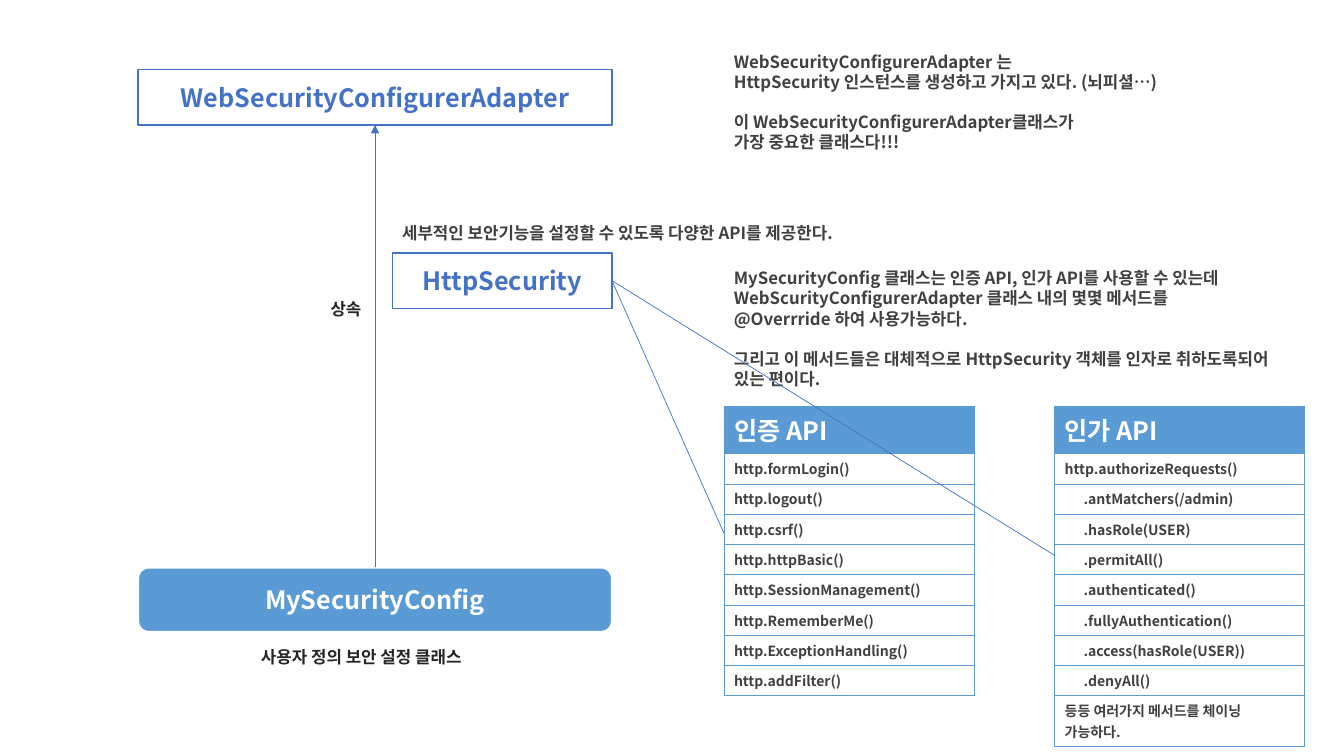
from dataclasses import dataclass

from lxml.etree import SubElement
from pptx import Presentation
from pptx.dml.color import RGBColor
from pptx.enum.shapes import MSO_CONNECTOR as Connector, MSO_SHAPE as Preset
from pptx.enum.text import MSO_ANCHOR as Anchor, MSO_AUTO_SIZE as AutoSize, PP_ALIGN as Align
from pptx.oxml.ns import qn
from pptx.util import Inches, Pt


@dataclass(frozen=True)
class Theme:
    font: str = "Noto Sans CJK KR"
    blue: str = "4472C4"
    sky: str = "5B9BD5"
    white: str = "FFFFFF"
    body: str = "404040"
    dark: str = "262626"
    heading_size: float = 18
    note_size: float = 12
    method_size: float = 10
    note_leading: float = 14.4
    thin: float = 0.5


THEME = Theme()


@dataclass(frozen=True)
class ClassBox:
    name: str
    left: float
    top: float
    width: float
    height: float
    preset: int = Preset.RECTANGLE
    fill: str = THEME.white
    color: str = THEME.blue
    border: float = 1


@dataclass(frozen=True)
class Note:
    left: float
    top: float
    width: float
    height: float
    groups: tuple  # groups of lines, set apart by one line of space
    color: str = THEME.body
    wrap: bool = True


@dataclass(frozen=True)
class ApiTable:
    left: float
    heading: str
    methods: tuple
    remark: str = ""


# Content
ADAPTER = ClassBox("WebSecurityConfigurerAdapter", 1.37, 0.69, 4.7, 0.55)
CONFIG = ClassBox("MySecurityConfig", 1.37, 5.63, 4.7, 0.64, Preset.ROUNDED_RECTANGLE,
                  THEME.sky, THEME.white, 1.5)
HTTP = ClassBox("HttpSecurity", 3.89, 2.51, 2.18, 0.55)

TABLE_TOP, TABLE_WIDTH = 4.03, 2.48
HEADING_ROW, METHOD_ROW, REMARK_ROW = 0.47, 0.3, 0.5
AUTHENTICATION = ApiTable(7.18, "인증 API", (
    "http.formLogin()", "http.logout()", "http.csrf()", "http.httpBasic()",
    "http.SessionManagement()", "http.RememberMe()", "http.ExceptionHandling()",
    "http.addFilter()"))
AUTHORIZATION = ApiTable(10.46, "인가 API", (
    "http.authorizeRequests()", "      .antMatchers(/admin)", "      .hasRole(USER)",
    "      .permitAll()", "      .authenticated()", "      .fullyAuthentication()",
    "      .access(hasRole(USER))", "      .denyAll()"),
    "등등 여러가지 메서드를 체이닝 가능하다.")

EXPLANATIONS = (
    Note(7.18, 0.46, 4.75, 1.11, (
        ("WebSecurityConfigurerAdapter 는",
         "HttpSecurity 인스턴스를 생성하고 가지고 있다. (뇌피셜…)"),
        ("이 WebSecurityConfigurerAdapter클래스가", "가장 중요한 클래스다!!!"))),
    Note(7.18, 2.61, 5.69, 1.31, (
        ("MySecurityConfig 클래스는 인증 API, 인가 API를 사용할 수 있는데",
         "WebScurityConfigurerAdapter 클래스 내의 몇몇 메서드를",
         "@Overrride 하여 사용가능하다."),
        ("그리고 이 메서드들은 대체적으로 HttpSecurity 객체를 인자로 취하도록되어 있는 편이다.",))),
)
CAPTIONS = (
    Note(3.89, 2.16, 5.24, 0.3, (("세부적인 보안기능을 설정할 수 있도록 다양한 API를 제공한다.",),)),
    Note(2.49, 6.37, 2.46, 0.3, (("사용자 정의 보안 설정 클래스",),), THEME.dark),
    Note(3.18, 2.91, 0.54, 0.3, (("상속",),), THEME.dark, False),
)


def rgb(color: str) -> RGBColor:
    return RGBColor.from_string(color)


def apply(target, values: dict) -> None:
    for name, value in values.items():
        setattr(target, name, value)


def write(para, text: str, size: float, color: str) -> None:
    span = para.add_run()
    span.text = text
    apply(span.font, {"name": THEME.font, "size": Pt(size), "bold": True})
    span.font.color.rgb = rgb(color)
    SubElement(span.font._element, qn("a:ea"), typeface=THEME.font)


def draw_class(page, item: ClassBox):
    box = page.shapes.add_shape(item.preset, Inches(item.left), Inches(item.top),
                                Inches(item.width), Inches(item.height))
    box.shadow.inherit = False
    box.fill.solid()
    box.fill.fore_color.rgb = rgb(item.fill)
    box.line.color.rgb = rgb(item.color)
    box.line.width = Pt(item.border)
    box.text_frame.vertical_anchor = Anchor.MIDDLE
    para = box.text_frame.paragraphs[0]
    para.alignment = Align.CENTER
    write(para, item.name, THEME.heading_size, item.color)
    return box


def draw_note(page, note: Note) -> None:
    box = page.shapes.add_textbox(Inches(note.left), Inches(note.top),
                                  Inches(note.width), Inches(note.height))
    frame = box.text_frame
    apply(frame, {"word_wrap": note.wrap, "auto_size": AutoSize.SHAPE_TO_FIT_TEXT})
    for group_index, group in enumerate(note.groups):
        for line_index, text in enumerate(group):
            first = group_index == line_index == 0
            para = frame.paragraphs[0] if first else frame.add_paragraph()
            para.line_spacing = Pt(THEME.note_leading)
            if group_index and line_index == 0:
                para.space_before = Pt(THEME.note_leading)
            write(para, text, THEME.note_size, note.color)


def border_cell(cell) -> None:
    properties = cell._tc.get_or_add_tcPr()
    for position, side in enumerate(("a:lnL", "a:lnR", "a:lnT", "a:lnB")):
        edge = SubElement(properties, qn(side), w=str(Pt(THEME.thin)))
        SubElement(SubElement(edge, qn("a:solidFill")), qn("a:srgbClr"), val=THEME.sky)
        properties.insert(position, edge)  # borders come before the fill


def draw_table(page, api: ApiTable) -> None:
    rows = [(api.heading, HEADING_ROW)] + [(name, METHOD_ROW) for name in api.methods]
    if api.remark:
        rows.append((api.remark, REMARK_ROW))
    height = sum(row_height for _, row_height in rows)
    table = page.shapes.add_table(len(rows), 1, Inches(api.left), Inches(TABLE_TOP),
                                  Inches(TABLE_WIDTH), Inches(height)).table
    table.horz_banding = False
    for index, (text, row_height) in enumerate(rows):
        table.rows[index].height = Inches(row_height)
        cell = table.cell(index, 0)
        cell.fill.solid()
        cell.fill.fore_color.rgb = rgb(THEME.white if index else THEME.sky)
        border_cell(cell)
        size, color = ((THEME.method_size, THEME.body) if index
                       else (THEME.heading_size, THEME.white))
        write(cell.text_frame.paragraphs[0], text, size, color)


def draw_line(page, start, side: int, end_x: float, end_y: float):
    line = page.shapes.add_connector(Connector.STRAIGHT, start.left, start.top,
                                     Inches(end_x), Inches(end_y))
    line.begin_connect(start, side)
    line.line.color.rgb = rgb(THEME.blue)
    line.line.width = Pt(THEME.thin)
    SubElement(line._element.spPr, qn("a:effectLst"))
    return line


def main() -> None:
    deck = Presentation()
    apply(deck, {"slide_width": Inches(13.33), "slide_height": Inches(7.5)})
    page = deck.slides.add_slide(deck.slide_layouts[6])

    # Classes and inheritance arrow
    adapter = draw_class(page, ADAPTER)
    config = draw_class(page, CONFIG)
    arrow = draw_line(page, config, 0, 3.72, 1.24)
    arrow.end_connect(adapter, 2)
    SubElement(arrow.line._get_or_add_ln(), qn("a:tailEnd"), type="triangle")
    http = draw_class(page, HTTP)

    # API tables and explanations
    for api in (AUTHENTICATION, AUTHORIZATION):
        draw_table(page, api)
    for note in EXPLANATIONS:
        draw_note(page, note)

    # Lines from HttpSecurity to its tables
    for api, end_y in ((AUTHENTICATION, 5.29), (AUTHORIZATION, 5.51)):
        draw_line(page, http, 3, api.left, end_y)

    # Captions
    for note in CAPTIONS:
        draw_note(page, note)
    deck.save("out.pptx")


if __name__ == "__main__":
    main()
